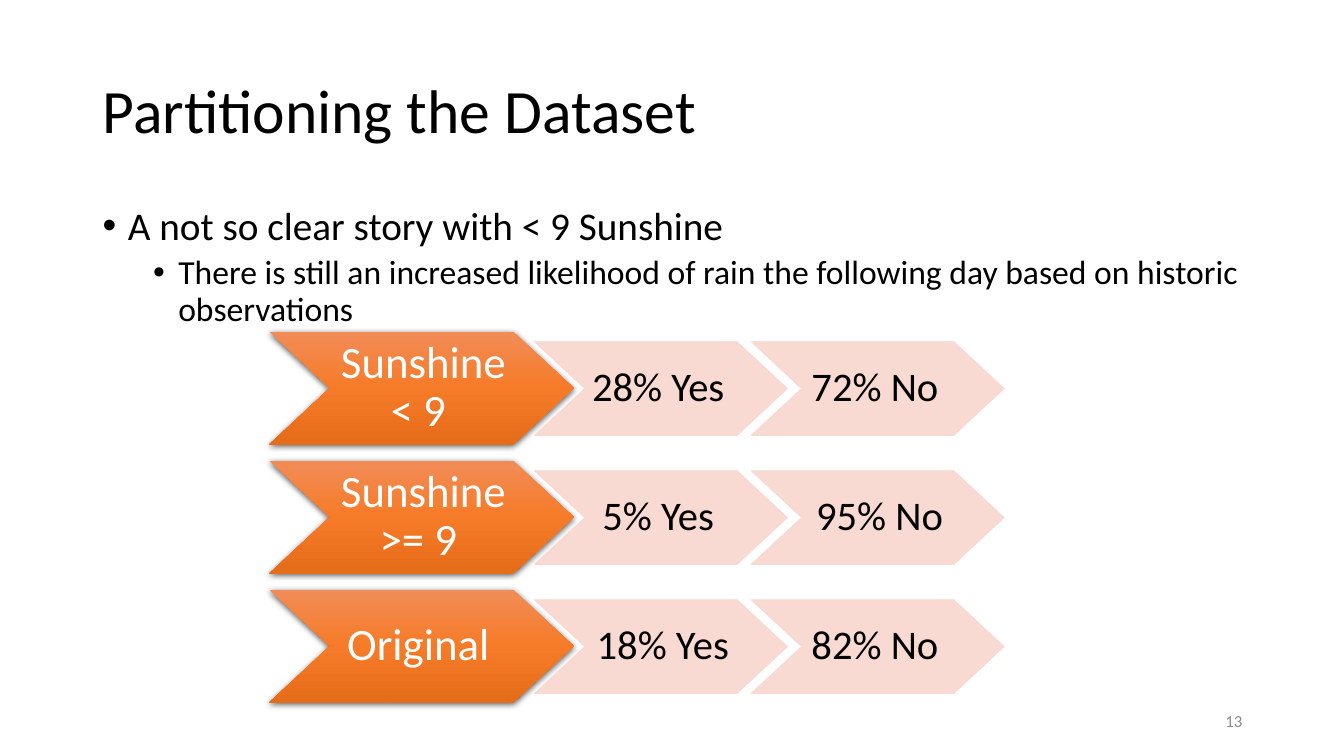
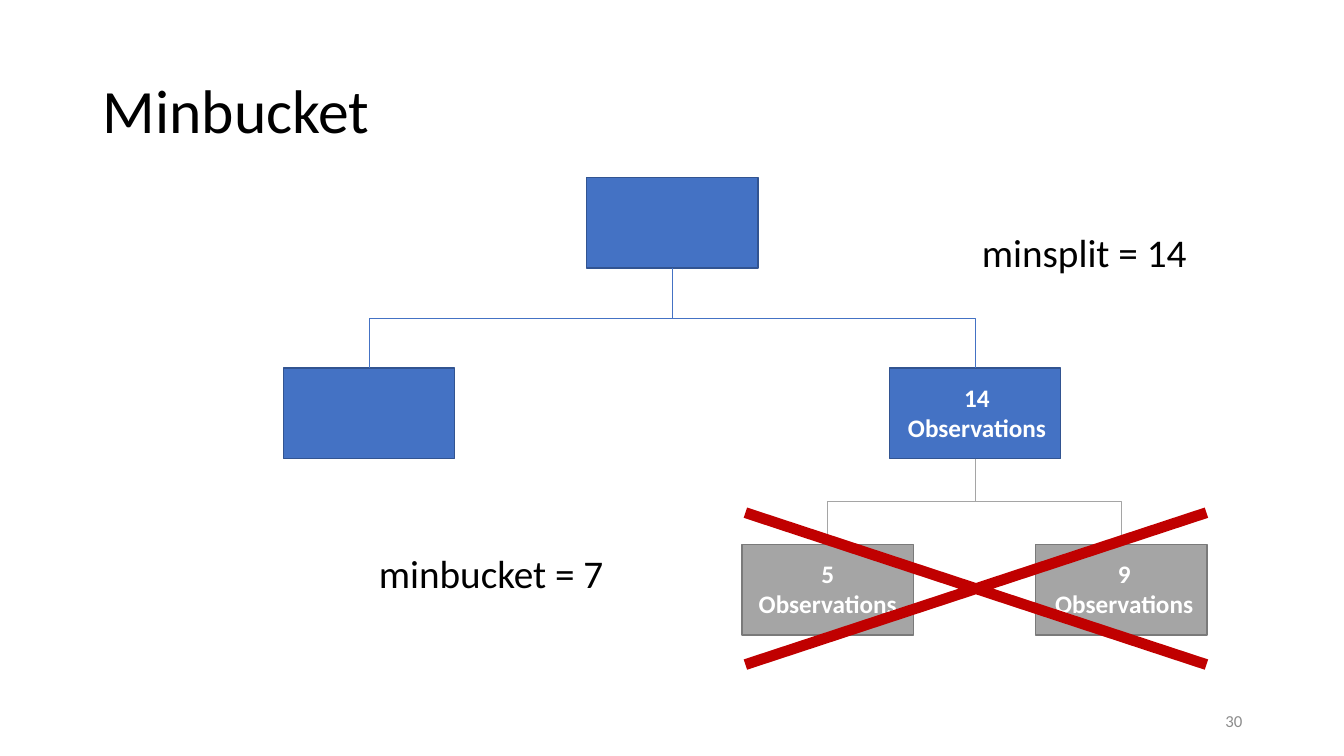
"""Build two slides on splitting data in decision trees."""
from copy import deepcopy
from dataclasses import dataclass

from lxml.etree import SubElement
from pptx import Presentation
from pptx.dml.color import RGBColor
from pptx.enum.shapes import MSO_CONNECTOR, MSO_SHAPE
from pptx.enum.text import MSO_ANCHOR, PP_ALIGN
from pptx.oxml.ns import qn
from pptx.util import Inches, Pt

FONT = "Calibri"
BLACK = RGBColor(0x00, 0x00, 0x00)
WHITE = RGBColor(0xFF, 0xFF, 0xFF)
MUTED = RGBColor(0x8C, 0x8C, 0x8C)
BLUE = RGBColor(0x44, 0x72, 0xC4)
NAVY = RGBColor(0x32, 0x54, 0x91)
GRAY = RGBColor(0xA5, 0xA5, 0xA5)
DARK = RGBColor(0x7A, 0x7A, 0x7A)
RED = RGBColor(0xC0, 0x00, 0x00)
PALE = RGBColor(0xF8, 0xD7, 0xCE)
GLOW = (RGBColor(0xF1, 0x8C, 0x57), RGBColor(0xF6, 0x7B, 0x28), RGBColor(0xE5, 0x6C, 0x19))


@dataclass(frozen=True)
class Box:
    """Place of a shape in inches."""
    x: float
    y: float
    w: float
    h: float

    def emu(self) -> tuple:
        """Return the place as lengths."""
        return tuple(Inches(v) for v in (self.x, self.y, self.w, self.h))


@dataclass(frozen=True)
class Style:
    """Look of a paragraph."""
    size: float
    color: RGBColor = BLACK
    align: PP_ALIGN = PP_ALIGN.LEFT
    bold: bool = False
    space: float = 1.0


@dataclass(frozen=True)
class Split:
    """One row of arrows: a condition and its shares."""
    name: str
    shares: tuple


@dataclass(frozen=True)
class Node:
    """One box of the tree."""
    x: float
    y: float
    fill: RGBColor = BLUE
    edge: RGBColor = NAVY
    label: str = ""
    shift: float = 0.0


@dataclass(frozen=True)
class Bullet:
    """One list line."""
    text: str
    size: int
    left: float
    before: int


TITLE = Style(44, space=0.9)
NUMBER = Style(12, MUTED, PP_ALIGN.RIGHT)
HEAD = Style(32, WHITE, PP_ALIGN.CENTER, space=0.9)
SHARE = Style(29, BLACK, PP_ALIGN.CENTER, space=0.9)
LABEL = Style(18, WHITE, PP_ALIGN.CENTER, True)
NOTE = Style(28)
NODE_W, NODE_H = 1.7, 0.9

BULLETS = (
    Bullet("A not so clear story with < 9 Sunshine", 28, 0.25, 10),
    Bullet("There is still an increased likelihood of rain the following day "
           "based on historic observations", 24, 0.75, 5),
)
SPLITS = (
    Split("Sunshine < 9 ", ("28% Yes ", "72% No ")),
    Split("Sunshine >= 9 ", ("5% Yes ", "95% No")),
    Split("Original ", ("18% Yes", "82% No ")),
)
ROOT = Node(5.82, 1.76)
LEFT = Node(2.81, 3.65)
RIGHT = Node(8.82, 3.65, label="14 Observations", shift=0.02)
FEW = Node(7.36, 5.4, GRAY, DARK, "5 Observations")
MORE = Node(10.27, 5.4, GRAY, DARK, "9 Observations", 0.03)


def write(par, text: str, style: Style) -> None:
    """Add one styled run to a paragraph."""
    par.alignment = style.align
    par.line_spacing = style.space
    run = par.add_run()
    run.text = text
    font = run.font
    font.name, font.size, font.bold = FONT, Pt(style.size), style.bold
    font.color.rgb = style.color


def add_text(slide, box: Box, text: str, style: Style, anchor=MSO_ANCHOR.TOP) -> None:
    """Add a text box with one paragraph."""
    frame = slide.shapes.add_textbox(*box.emu()).text_frame
    frame.word_wrap = True
    frame.vertical_anchor = anchor
    write(frame.paragraphs[0], text, style)


def add_slide(deck, title: str, number: int):
    """Add a blank slide with title and number."""
    slide = deck.slides.add_slide(deck.slide_layouts[6])
    add_text(slide, Box(0.92, 0.4, 11.5, 1.45), title, TITLE, MSO_ANCHOR.MIDDLE)
    add_text(slide, Box(9.42, 6.95, 3, 0.4), str(number), NUMBER, MSO_ANCHOR.MIDDLE)
    return slide


def add_list(slide) -> None:
    """Add the bullet list."""
    frame = slide.shapes.add_textbox(*Box(0.92, 2, 11.5, 1.3).emu()).text_frame
    frame.word_wrap = True
    for i, item in enumerate(BULLETS):
        par = frame.add_paragraph() if i else frame.paragraphs[0]
        write(par, item.text, Style(item.size, space=0.9))
        par.space_before = Pt(item.before)
        props = par._p.get_or_add_pPr()
        props.set("marL", str(Inches(item.left)))
        props.set("indent", str(Inches(-0.25)))
        SubElement(props, qn("a:buFont"), typeface="Arial")
        SubElement(props, qn("a:buChar"), char="•")


def add_shape(slide, kind: MSO_SHAPE, box: Box, adjust: float | None = None):
    """Add a shape with neither shadow nor line."""
    shape = slide.shapes.add_shape(kind, *box.emu())
    shape.shadow.inherit = False
    shape.line.fill.background()
    if adjust is not None:
        shape.adjustments[0] = adjust
    return shape


def add_arrow(slide, box: Box, notch: float, text: str, style: Style):
    """Add a chevron with centred text."""
    shape = add_shape(slide, MSO_SHAPE.CHEVRON, box, notch / box.h)
    frame = shape.text_frame
    frame.word_wrap = True
    frame.vertical_anchor = MSO_ANCHOR.MIDDLE
    frame.margin_left, frame.margin_right = Inches(0.04), 0
    frame.margin_top = frame.margin_bottom = Inches(0.02)
    write(frame.paragraphs[0], text, style)
    return shape


def add_glow(shape) -> None:
    """Give a shape the orange gradient and a soft shadow."""
    fill = shape.fill
    fill.gradient()
    fill.gradient_angle = 270
    props = shape._element.spPr
    stops = props.find(qn("a:gradFill")).find(qn("a:gsLst"))
    stops.append(deepcopy(stops[0]))
    for i, (stop, color) in enumerate(zip(fill.gradient_stops, GLOW)):
        stop.position = i / 2
        stop.color.rgb = color
    cast = SubElement(props.find(qn("a:effectLst")), qn("a:outerShdw"), blurRad=str(Pt(4.5)),
                      dist=str(Pt(1.5)), dir="5400000", algn="ctr", rotWithShape="0")
    tint = SubElement(cast, qn("a:srgbClr"), val=str(BLACK))
    SubElement(tint, qn("a:alpha"), val="63000")


def add_pale(shape) -> None:
    """Give a shape the translucent pale fill and line."""
    shape.fill.solid()
    shape.fill.fore_color.rgb = PALE
    shape.line.color.rgb = PALE
    shape.line.width = Pt(0.5)
    for tint in shape._element.spPr.iter(qn("a:srgbClr")):
        SubElement(tint, qn("a:alpha"), val="90000")


def add_row(slide, split: Split, top: float) -> None:
    """Add one row of arrows."""
    add_glow(add_arrow(slide, Box(2.67, top, 3.02, 1.12), 0.6, split.name, HEAD))
    for i, share in enumerate(split.shares):
        box = Box(5.3 + 2.15 * i, top + 0.1, 2.51, 0.93)
        add_pale(add_arrow(slide, box, 0.5, share, SHARE))


def add_node(slide, node: Node) -> None:
    """Add a tree box."""
    shape = add_shape(slide, MSO_SHAPE.RECTANGLE, Box(node.x, node.y, NODE_W, NODE_H))
    shape.fill.solid()
    shape.fill.fore_color.rgb = node.fill
    shape.line.color.rgb = node.edge
    shape.line.width = Pt(1)
    if node.label:
        add_text(slide, Box(node.x + node.shift, node.y + 0.09, NODE_W, 0.71), node.label, LABEL)


def add_link(slide, top: Node, low: Node) -> None:
    """Join two boxes with an elbow that leaves downwards."""
    run, drop = abs(low.x - top.x), low.y - top.y - NODE_H
    mid_x = (top.x + low.x + NODE_W) / 2
    mid_y = top.y + NODE_H + drop / 2
    ends = (mid_x - drop / 2, mid_y - run / 2, mid_x + drop / 2, mid_y + run / 2)
    link = slide.shapes.add_connector(MSO_CONNECTOR.ELBOW, *(Inches(v) for v in ends))
    link.line.color.rgb = low.fill
    link.line.width = Pt(0.5)
    props = link._element.spPr
    SubElement(props, qn("a:effectLst"))
    turn = props.find(qn("a:xfrm"))
    if low.x > top.x:
        turn.set("rot", "16200000")
        turn.set("flipH", "1")
    else:
        turn.set("rot", "5400000")


def add_tree(slide) -> None:
    """Add the tree, its notes and the cross."""
    for node in (ROOT, LEFT, RIGHT, FEW, MORE):
        add_node(slide, node)
    for top, low in ((ROOT, RIGHT), (ROOT, LEFT), (RIGHT, MORE), (RIGHT, FEW)):
        add_link(slide, top, low)
    add_text(slide, Box(9.64, 2.22, 2.33, 0.57), "minsplit = 14", NOTE)
    add_text(slide, Box(3.66, 5.4, 2.7, 0.57), "minbucket = 7", NOTE)
    cross = add_shape(slide, MSO_SHAPE.MATH_MULTIPLY, Box(5.28, 4.39, 8.8, 2.9), 0.037)
    cross.fill.solid()
    cross.fill.fore_color.rgb = RED


def main() -> None:
    """Build and save the deck."""
    deck = Presentation()
    deck.slide_width, deck.slide_height = Inches(13.33), Inches(7.5)
    slide = add_slide(deck, "Partitioning the Dataset", 13)
    add_list(slide)
    for i, split in enumerate(SPLITS):
        add_row(slide, split, 3.29 + 1.28 * i)
    add_tree(add_slide(deck, "Minbucket", 30))
    deck.save("out.pptx")


if __name__ == "__main__":
    main()
